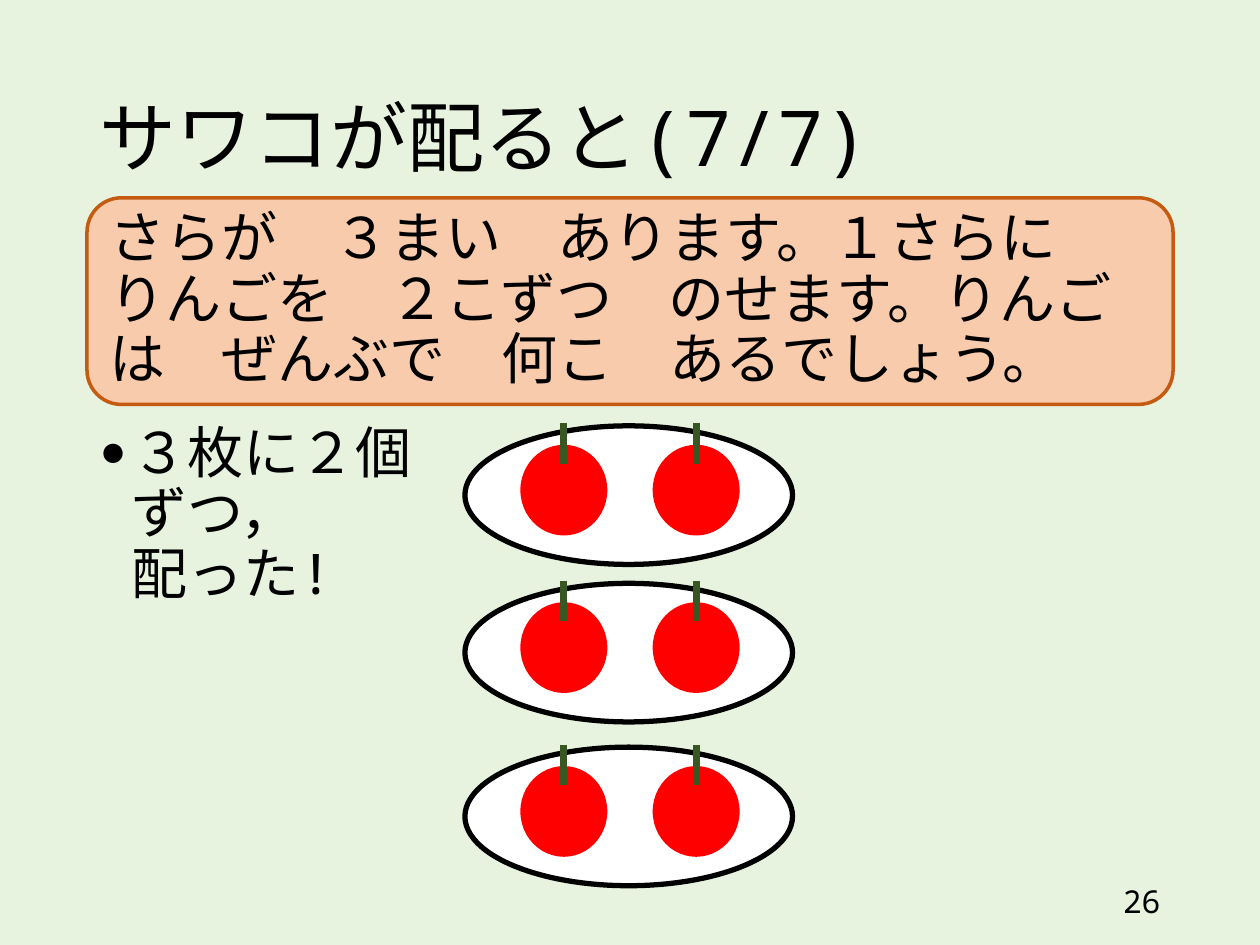
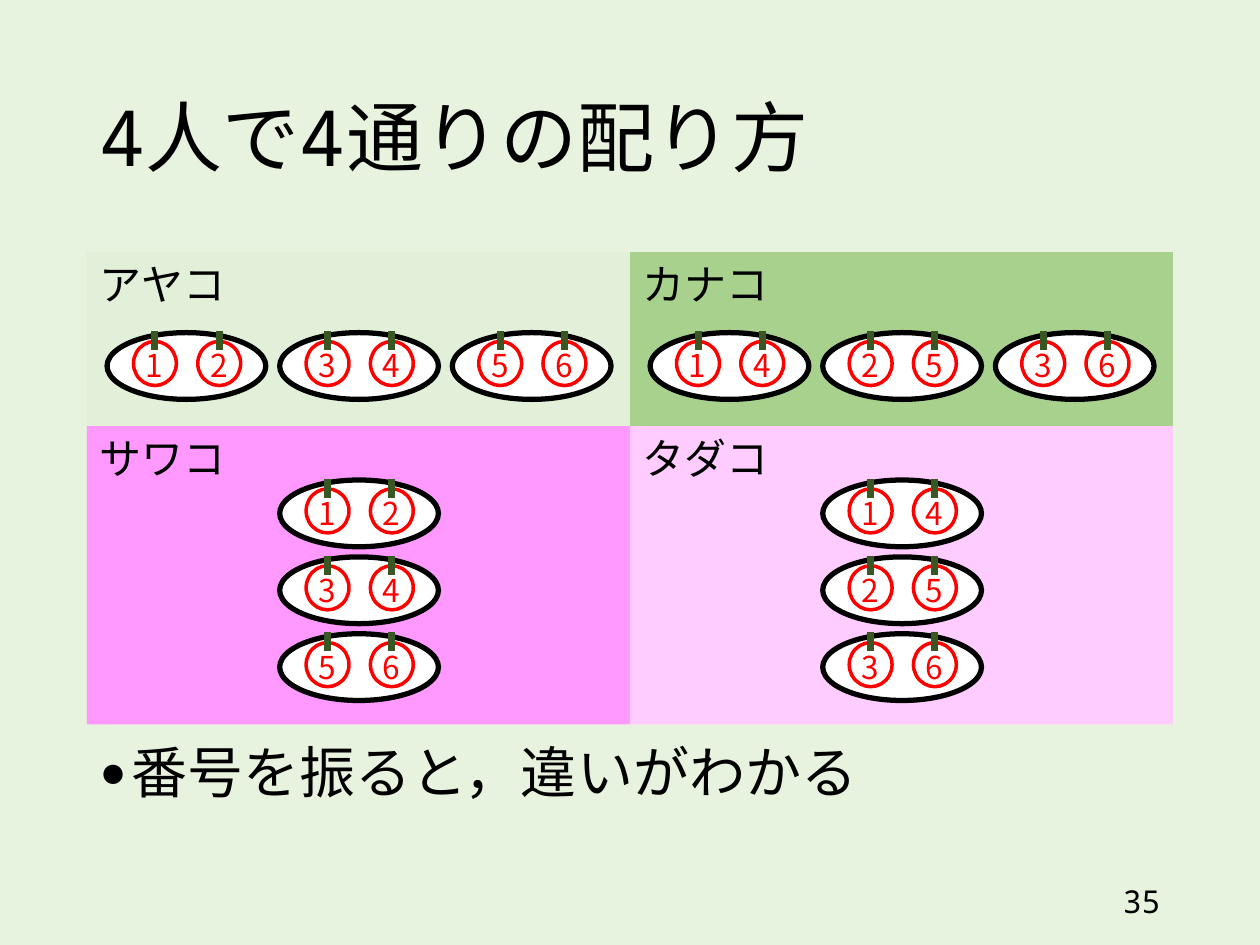
import pptx
import pptx.util
import pptx.dml.color
import pptx.enum.shapes
import pptx.enum.text
import pptx.oxml.ns
import lxml.etree

Inches = pptx.util.Inches
Pt = pptx.util.Pt
SHAPE = pptx.enum.shapes.MSO_SHAPE
ALIGN = pptx.enum.text.PP_ALIGN
ANCHOR = pptx.enum.text.MSO_ANCHOR
FIT = pptx.enum.text.MSO_AUTO_SIZE

HUES = {
    "back": "E7F3DF", "ink": "000000", "plate": "FFFFFF", "apple": "FF0000",
    "stem": "385723", "box": "F8CBAD", "rim": "C55A11", "ayako": "E2F0D9",
    "kanako": "A9D18E", "sawako": "FF99FF", "tadako": "FFCCFF",
}
MONO, SANS = "Noto Sans Mono", "Noto Sans CJK JP"
LEFT, WIDE = 0.69, 8.62

# Plate size, apple offsets and size, stem offset and length
BIG = {"plate": (2.6, 1.1), "cols": (0.44, 1.49), "drop": 0.15,
       "apple": (0.69, 0.72), "rise": 0.17, "stem": 0.32}
SMALL = {"plate": (1.26, 0.53), "cols": (0.21, 0.72), "drop": 0.07,
         "apple": (0.34, 0.35), "rise": 0.08, "stem": 0.15}


def rgb(hue):
    return pptx.dml.color.RGBColor.from_string(HUES[hue])


def apply(obj, vals):
    for key, val in vals.items():
        setattr(obj, key, val)


def add_tag(parent, tag, **vals):
    return lxml.etree.SubElement(parent, pptx.oxml.ns.qn(tag), vals)


class Deck:
    def __init__(self):
        self.prs = pptx.Presentation()
        apply(self.prs, {"slide_width": Inches(10), "slide_height": Inches(7.5)})
        fill = self.prs.slide_master.background.fill
        fill.solid()
        fill.fore_color.rgb = rgb("back")
        self.slide = None

    def start(self, title, page):
        self.slide = self.prs.slides.add_slide(self.prs.slide_layouts[1])
        head = self.slide.shapes.title
        self.place(head, LEFT, 0.4, WIDE, 1.45)
        self.set_text(head, title, 44, anchor=ANCHOR.MIDDLE, space=0.9)
        self.label(page, 7.06, 6.95, 2.25, 0.4, 18, align=ALIGN.RIGHT,
                   anchor=ANCHOR.MIDDLE, wrap=True, fit=FIT.NONE)

    def place(self, shape, x, y, w, h):
        apply(shape, {"left": Inches(x), "top": Inches(y),
                      "width": Inches(w), "height": Inches(h)})

    def set_text(self, shape, text, size, font=MONO, hue="ink", align=ALIGN.LEFT,
                 anchor=ANCHOR.TOP, space=1.0, wrap=True, fit=FIT.NONE):
        frame = shape.text_frame
        frame.text = text
        apply(frame, {"word_wrap": wrap, "auto_size": fit, "vertical_anchor": anchor})
        para = frame.paragraphs[0]
        apply(para, {"alignment": align, "line_spacing": space, "space_before": Pt(0)})
        for run in para.runs:
            apply(run.font, {"size": Pt(size), "name": font, "bold": False})
            run.font.color.rgb = rgb(hue)
            add_tag(run.font._element, "a:ea", typeface=SANS)
        return para

    def label(self, text, x, y, w, h, size, home=None, **look):
        shapes = (home or self.slide).shapes
        box = shapes.add_textbox(Inches(x), Inches(y), Inches(w), Inches(h))
        self.set_text(box, text, size, **look)

    def points(self, text, y, h):
        body = self.slide.placeholders[1]
        self.place(body, LEFT, y, WIDE, h)
        props = self.set_text(body, text, 32, space=0.9)._p.get_or_add_pPr()
        indent = Inches(0.25)
        props.set("marL", str(indent))
        props.set("indent", str(-indent))
        add_tag(props, "a:buSzPct", val="80000")
        add_tag(props, "a:buChar", char="●")

    def shape(self, kind, x, y, w, h, fill=None, line=None, width=0, home=None):
        shapes = (home or self.slide).shapes
        item = shapes.add_shape(kind, Inches(x), Inches(y), Inches(w), Inches(h))
        item.shadow.inherit = False
        for part, hue in ((item.fill, fill), (item.line.fill, line)):
            if hue:
                part.solid()
                part.fore_color.rgb = rgb(hue)
            else:
                part.background()
        if line:
            item.line.width = Pt(width)
        return item

    def stem(self, x, y, length, home):
        line = home.shapes.add_connector(
            pptx.enum.shapes.MSO_CONNECTOR.STRAIGHT,
            Inches(x), Inches(y), Inches(x), Inches(y + length))
        line.line.color.rgb = rgb("stem")
        line.line.width = Pt(4)
        add_tag(line._element.spPr, "a:effectLst")

    def apple(self, x, y, form, digit):
        group = self.slide.shapes.add_group_shape()
        w, h = form["apple"]
        look = {"line": "apple", "width": 2} if digit else {"fill": "apple"}
        self.shape(SHAPE.OVAL, x, y, w, h, home=group, **look)
        self.stem(x + w / 2, y - form["rise"], form["stem"], group)
        if digit:
            self.label(digit, x, y - 0.01, 0.33, 0.4, 18, home=group, font=SANS,
                       hue="apple", align=ALIGN.CENTER, wrap=False,
                       fit=FIT.SHAPE_TO_FIT_TEXT)

    def plate(self, x, y, form, digits=("", "")):
        self.shape(SHAPE.OVAL, x, y, *form["plate"], fill="plate", line="ink", width=3)
        for col, digit in zip(form["cols"], digits):
            self.apple(x + col, y + form["drop"], form, digit)

    def panel(self, name, hue, x, y, h, pairs, spots):
        self.shape(SHAPE.RECTANGLE, x, y, 4.31, h, fill=hue)
        self.label(name, x, y, 1.21, 0.5, 24, wrap=False, fit=FIT.SHAPE_TO_FIT_TEXT)
        for pair, (dx, dy) in zip(pairs, spots):
            self.plate(x + dx, y + dy, SMALL, pair)


def main():
    deck = Deck()

    # Three plates with two apples each
    deck.start("サワコが配ると(7/7)", "26")
    deck.points("３枚に２個\vずつ，\v配った!", 3.32, 3.43)
    for y in (5.93, 4.63, 3.38):
        deck.plate(3.69, y, BIG)
    task = deck.shape(SHAPE.ROUNDED_RECTANGLE, LEFT, 1.57, WIDE, 1.64,
                      fill="box", line="rim", width=2)
    deck.set_text(task, "さらが　３まい　あります。１さらに　りんごを　２こずつ　のせます。"
                  "りんごは　ぜんぶで　何こ　あるでしょう。", 32, font=SANS,
                  anchor=ANCHOR.MIDDLE, space=0.9)

    # Four children, four ways of sharing
    deck.start("4人で4通りの配り方", "35")
    deck.points("番号を振ると，違いがわかる", 5.86, 1)
    row = [(0.16 + 1.37 * i, 0.64) for i in range(3)]
    stack = [(1.53, 0.43 + 0.61 * i) for i in range(3)]
    by_plate, by_round = ("12", "34", "56"), ("14", "25", "36")
    for name, hue, x, y, h, pairs, spots in (
            ("サワコ", "sawako", LEFT, 3.38, 2.37, by_plate, stack),
            ("タダコ", "tadako", 5, 3.38, 2.37, by_round, stack),
            ("アヤコ", "ayako", LEFT, 2, 1.38, by_plate, row),
            ("カナコ", "kanako", 5, 2, 1.38, by_round, row)):
        deck.panel(name, hue, x, y, h, pairs, spots)

    deck.prs.save("out.pptx")


if __name__ == "__main__":
    main()
